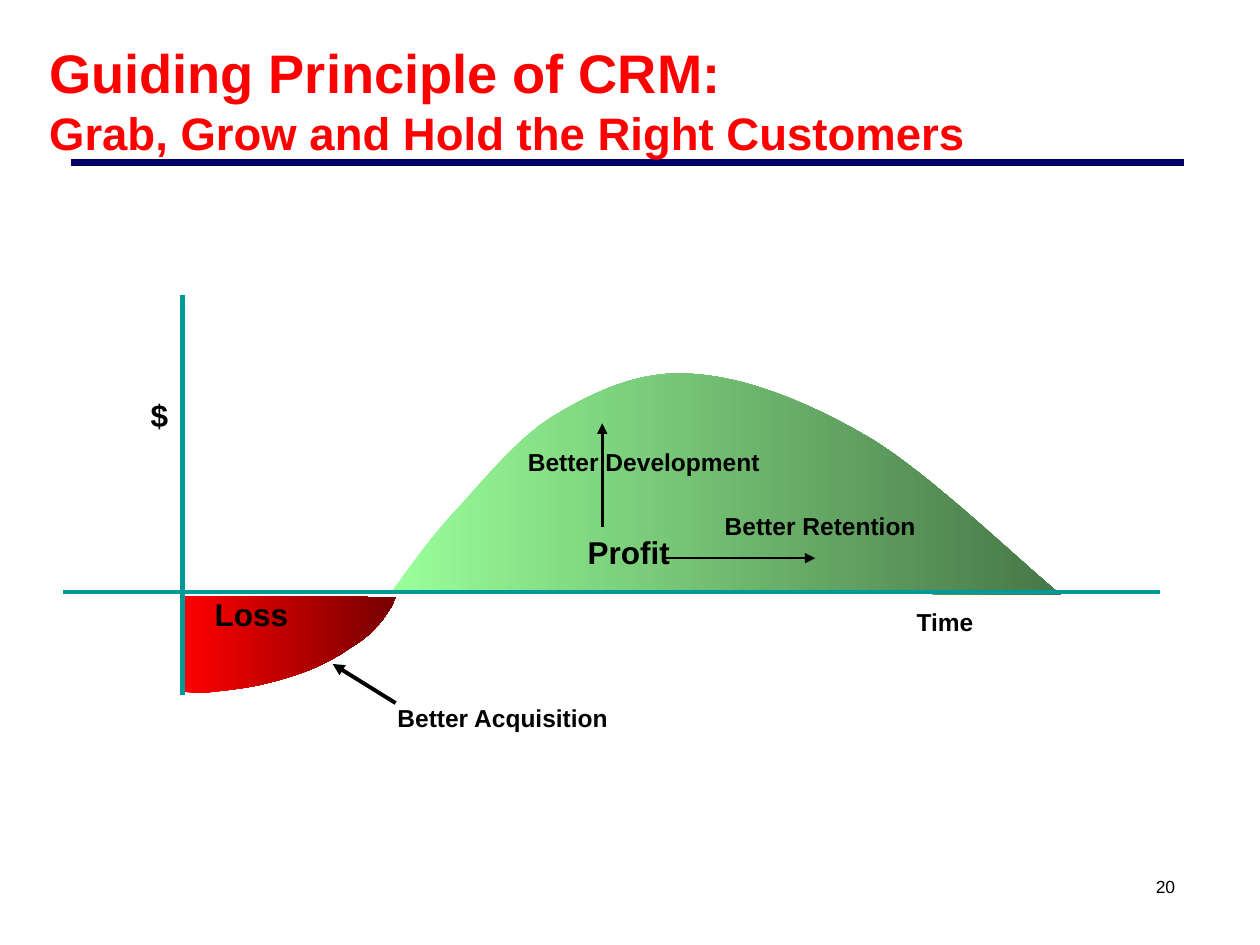
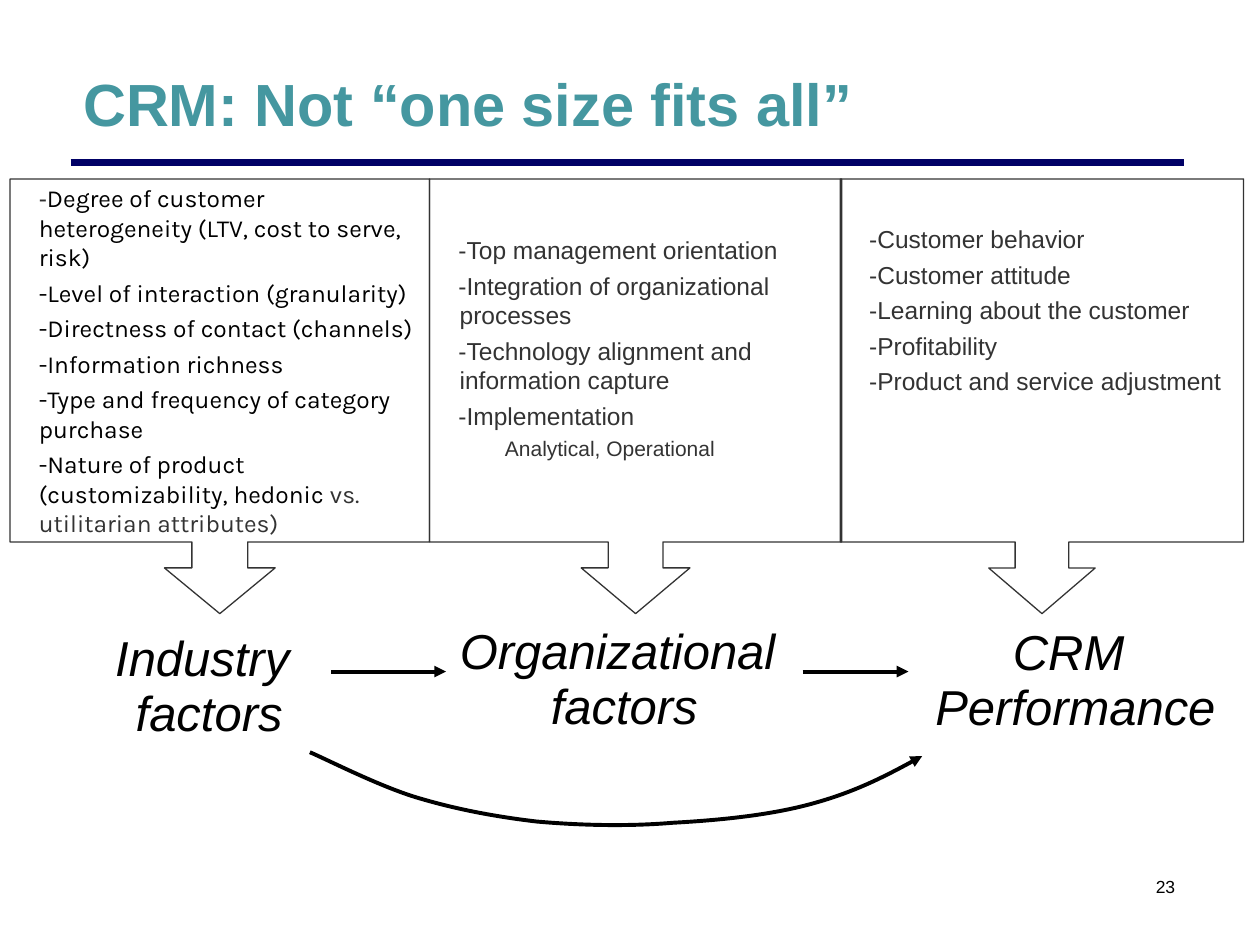
from dataclasses import dataclass
from typing import Optional

from lxml.etree import SubElement
from pptx import Presentation
from pptx.dml.color import RGBColor
from pptx.enum.shapes import MSO_CONNECTOR as Connector, MSO_SHAPE as Shape
from pptx.enum.text import MSO_ANCHOR as Anchor, MSO_AUTO_SIZE as AutoSize, PP_ALIGN as Align
from pptx.oxml.ns import qn
from pptx.util import Inches, Pt

FONT, NOTE_FONT = "Arial", "Karla"
BLACK, GREY, NAVY, TEAL = "000000", "333333", "000066", "009999"
RED, TITLE_TEAL = "FF0000", "4597A0"
CALLOUT_TOP, CALLOUT_HEIGHT = 1.42, 3.45

Point = tuple[float, float]
Area = tuple[float, float, float, float]


@dataclass(frozen=True)
class Line:
    start: Point
    end: Point
    color: str = BLACK
    width: float = 2.25
    arrow: bool = False


@dataclass(frozen=True)
class Label:
    text: str
    area: Area
    size: float


@dataclass(frozen=True)
class Factor:
    lines: tuple[str, str]
    area: Area
    first_spacing: float = 1.2
    second_indent: float = 0


@dataclass(frozen=True)
class Span:
    text: str
    font: str = FONT
    color: str = GREY


@dataclass(frozen=True)
class Item:
    spans: tuple[Span, ...]
    size: float = 14
    space: float = 3.5
    indent: float = 0.13
    hanging: float = 0


@dataclass(frozen=True)
class Callout:
    left: float
    width: float
    head: float
    items: tuple[Item, ...]
    bottom_inset: float = 0.05


@dataclass(frozen=True)
class Outline:
    start: Point
    segments: tuple[tuple[Point, ...], ...]
    colors: Optional[tuple[str, str]] = None


PROFIT = Outline((3.11, 4.69), (
    ((3.19, 4.59), (3.38, 4.31), (3.6, 4.07)),
    ((3.82, 3.84), (4.11, 3.46), (4.43, 3.28)),
    ((4.75, 3.09), (5.11, 2.93), (5.52, 2.97)),
    ((5.93, 3), (6.42, 3.19), (6.91, 3.48)),
    ((7.39, 3.77), (8.1, 4.46), (8.42, 4.72)),
    ((8.42, 4.72), (3.11, 4.69), (3.11, 4.69)),
), ("99FF99", "477647"))

LOSS = Outline((1.45, 5.49), (
    ((1.55, 5.5),),
    ((1.59, 5.5), (1.61, 5.5), (1.7, 5.49)),
    ((1.79, 5.48), (1.97, 5.46), (2.09, 5.43)),
    ((2.22, 5.4), (2.35, 5.36), (2.45, 5.32)),
    ((2.55, 5.28), (2.64, 5.23), (2.71, 5.19)),
    ((2.78, 5.14), (2.84, 5.11), (2.9, 5.06)),
    ((2.95, 5.02), (2.99, 4.97), (3.03, 4.93)),
    ((3.11, 4.81),),
    ((3.14, 4.74),),
    ((1.45, 4.73),),
    ((1.45, 5.49),),
), ("FF0000", "760000"))

DIRECT_PATH = Outline((2.46, 5.97), (
    ((2.6, 6.03), (3.01, 6.24), (3.31, 6.33)),
    ((3.61, 6.42), (3.92, 6.48), (4.26, 6.52)),
    ((4.6, 6.55), (4.98, 6.56), (5.34, 6.53)),
    ((5.71, 6.51), (6.11, 6.47), (6.44, 6.38)),
    ((6.77, 6.29), (7.05, 6.15), (7.32, 6)),
))

AXES = (
    Line((0.5, 4.7), (9.21, 4.7), TEAL),
    Line((1.45, 2.34), (1.45, 5.52), TEAL, 3),
)

IMPROVEMENTS = (
    Line((5.28, 4.43), (6.47, 4.43), width=1.5, arrow=True),
    Line((4.78, 4.18), (4.78, 3.36), width=1.5, arrow=True),
    Line((3.14, 5.58), (2.64, 5.27), arrow=True),
)

LABELS = (
    Label("Loss", (1.45, 4.67, 1.09, 0.4), 18),
    Label("Profit", (4.2, 4.18, 1.58, 0.4), 18),
    Label("Better Development", (3.97, 3.5, 2.28, 0.34), 14),
    Label("Better Retention", (5.52, 4.01, 1.98, 0.34), 14),
    Label("$", (0.67, 3.09, 1.19, 0.4), 18),
    Label("Time", (6.36, 4.77, 2.28, 0.34), 14),
    Label("Better Acquisition", (3, 5.53, 1.98, 0.34), 14),
)

FACTORS = (
    Factor(("Industry", "factors"), (0.58, 4.84, 2.05, 0.98), 1.4, 0.11),
    Factor(("Organizational ", "factors"), (3.54, 4.86, 2.83, 0.93)),
    Factor(("CRM ", "Performance"), (7.21, 4.83, 2.65, 1)),
)

FACTOR_ARROWS = (
    Line((2.63, 5.33), (3.54, 5.33), arrow=True),
    Line((6.37, 5.33), (7.21, 5.33), arrow=True),
)


def note(text: str) -> Span:
    """Return a black span in the note font."""
    return Span(text, NOTE_FONT, BLACK)


INDUSTRY_ITEMS = (
    Item((Span("-"), note("Degree of customer heterogeneity (LTV, cost to serve, risk)"))),
    Item((note("-Level of interaction (granularity)"),)),
    Item((note("-Directness of contact (channels)"),)),
    Item((note("-Information richness"),)),
    Item((note("-Type and frequency of category purchase"),)),
    Item((note("-Nature of product (customizability, hedonic"),
          Span(" vs. utilitarian attributes)", NOTE_FONT))),
)

ORGANIZATION_ITEMS = tuple(Item((Span(text),), indent=0.14, hanging=-0.01) for text in (
    "-Top management orientation",
    "-Integration of organizational processes",
    "-Technology alignment and information capture",
    "-Implementation",
)) + (Item((Span("Analytical, Operational"),), 12, 3, 0.51, -0.01),)

PERFORMANCE_ITEMS = tuple(Item((Span(text),)) for text in (
    "-Customer behavior",
    "-Customer attitude",
    "-Learning about the customer",
    "-Profitability",
    "-Product and service adjustment",
))

CALLOUTS = (
    Callout(3.41, 3.27, 0.111, ORGANIZATION_ITEMS, 0.25),
    Callout(6.67, 3.2, 0.113, PERFORMANCE_ITEMS, 0.85),
    Callout(0.08, 3.33, 0.109, INDUSTRY_ITEMS),
)


def rgb(color: str) -> RGBColor:
    """Turn a hex string into a colour."""
    return RGBColor.from_string(color)


def set_font(font, size: float, color: str = BLACK, bold: bool = False,
             italic: bool = False, name: str = FONT) -> None:
    """Format one font."""
    font.name, font.size, font.bold, font.italic = name, Pt(size), bold, italic
    font.color.rgb = rgb(color)


def set_indent(para, left: float, first: float = 0) -> None:
    """Set the left margin and first-line indent of a paragraph."""
    properties = para._p.get_or_add_pPr()
    properties.set("marL", str(Inches(left)))
    properties.set("indent", str(Inches(first)))


def style_line(line, color: str, width: float, arrow: bool = False) -> None:
    """Colour a line and optionally put a triangle at its end."""
    line.color.rgb = rgb(color)
    line.width = Pt(width)
    if arrow:
        SubElement(line._get_or_add_ln(), qn("a:tailEnd"), type="triangle")


def draw_line(page, item: Line):
    """Draw a straight connector."""
    connector = page.shapes.add_connector(
        Connector.STRAIGHT, *map(Inches, item.start + item.end))
    style_line(connector.line, item.color, item.width, item.arrow)
    SubElement(connector.element.spPr, qn("a:effectLst"))
    return connector


def bend_segments(shape, outline: Outline) -> None:
    """Turn each run of three line steps into one cubic curve."""
    steps = iter(shape.element.findall(".//" + qn("a:lnTo")))
    for segment in outline.segments:
        group = [next(steps) for _ in segment]
        if len(group) == 3:
            group[0].tag = qn("a:cubicBezTo")
            for step in group[1:]:
                group[0].append(step[0])
                step.getparent().remove(step)


def draw_outline(page, outline: Outline) -> None:
    """Draw a gradient area, or a curved arrow when there are no colours."""
    builder = page.shapes.build_freeform(*map(Inches, outline.start))
    points = [tuple(map(Inches, point)) for segment in outline.segments for point in segment]
    builder.add_line_segments(points, close=outline.colors is not None)
    shape = builder.convert_to_shape()
    bend_segments(shape, outline)
    shape.shadow.inherit = False
    if outline.colors is None:
        shape.fill.background()
        style_line(shape.line, BLACK, 2.25, arrow=True)
        return
    shape.line.fill.background()
    shape.fill.gradient()
    shape.fill.gradient_angle = 0
    for stop, color, position in zip(shape.fill.gradient_stops, outline.colors, (0, 1)):
        stop.color.rgb, stop.position = rgb(color), position


def draw_label(page, label: Label, bold: bool = True):
    """Draw a centred one-line text box."""
    box = page.shapes.add_textbox(*map(Inches, label.area))
    frame = box.text_frame
    frame.word_wrap = True
    frame.text = label.text
    frame.paragraphs[0].alignment = Align.CENTER
    set_font(frame.paragraphs[0].runs[0].font, label.size, bold=bold)
    return box


def draw_factor(page, factor: Factor) -> None:
    """Draw a two-line italic heading."""
    frame = page.shapes.add_textbox(*map(Inches, factor.area)).text_frame
    frame.word_wrap = False
    frame.vertical_anchor = Anchor.MIDDLE
    frame.text = "\n".join(factor.lines)
    for para, spacing in zip(frame.paragraphs, (factor.first_spacing, 0.7)):
        para.alignment = Align.CENTER
        para.line_spacing = spacing
        set_font(para.runs[0].font, 28, italic=True)
    second = frame.paragraphs[1]
    second.space_before = Pt(7)
    set_indent(second, factor.second_indent)


def draw_callout(page, callout: Callout) -> None:
    """Draw a down-arrow callout with its list."""
    area = (callout.left, CALLOUT_TOP, callout.width, CALLOUT_HEIGHT)
    shape = page.shapes.add_shape(Shape.DOWN_ARROW_CALLOUT, *map(Inches, area))
    for index, value in enumerate((0.133, 0.132, callout.head, 0.835)):
        shape.adjustments[index] = value
    shape.shadow.inherit = False
    shape.fill.background()
    style_line(shape.line, GREY, 0.75)
    frame = shape.text_frame
    frame.word_wrap = True
    frame.vertical_anchor = Anchor.MIDDLE
    frame.margin_bottom = Inches(callout.bottom_inset)
    for index, item in enumerate(callout.items):
        para = frame.add_paragraph() if index else frame.paragraphs[0]
        para.alignment = Align.LEFT
        para.space_before = Pt(item.space if index else 0)
        set_indent(para, item.indent, item.hanging)
        for span in item.spans:
            run = para.add_run()
            run.text = span.text
            set_font(run.font, item.size, span.color, name=span.font)


def add_page(deck, text: str, area: Area, sizes: tuple[float, ...], color: str, number: int):
    """Add a slide with its title, rule and page number."""
    page = deck.slides.add_slide(deck.slide_layouts[5])
    title = page.shapes.title
    title.left, title.top, title.width, title.height = map(Inches, area)
    frame = title.text_frame
    frame.auto_size = AutoSize.NONE
    frame.vertical_anchor = Anchor.MIDDLE
    para = frame.paragraphs[0]
    para.text = text
    para.alignment = Align.LEFT
    for run, size in zip(para.runs, sizes):
        set_font(run.font, size, color, bold=True)
    rule = draw_line(page, Line((0.56, 1.29), (9.4, 1.29), NAVY, 4.5))
    title.element.addprevious(rule.element)
    box = draw_label(page, Label(str(number), (9, 6.85, 0.5, 0.37), 10), bold=False)
    box.text_frame.vertical_anchor = Anchor.MIDDLE
    return page


def main() -> None:
    """Build and save the deck."""
    deck = Presentation()
    deck.slide_width, deck.slide_height = Inches(10), Inches(7.5)

    page = add_page(deck, "Guiding Principle of CRM:\vGrab, Grow and Hold the Right Customers",
                    (0.29, 0.33, 9.12, 0.92), (31, 26), RED, 20)
    for outline in (PROFIT, LOSS):
        draw_outline(page, outline)
    for line in AXES + IMPROVEMENTS:
        draw_line(page, line)
    for label in LABELS:
        draw_label(page, label)

    page = add_page(deck, "CRM: Not “one size fits all”",
                    (0.56, 0.3, 8.81, 1.03), (34,), TITLE_TEAL, 23)
    for factor in FACTORS:
        draw_factor(page, factor)
    for line in FACTOR_ARROWS:
        draw_line(page, line)
    draw_outline(page, DIRECT_PATH)
    for callout in CALLOUTS:
        draw_callout(page, callout)

    deck.save("out.pptx")


if __name__ == "__main__":
    main()
